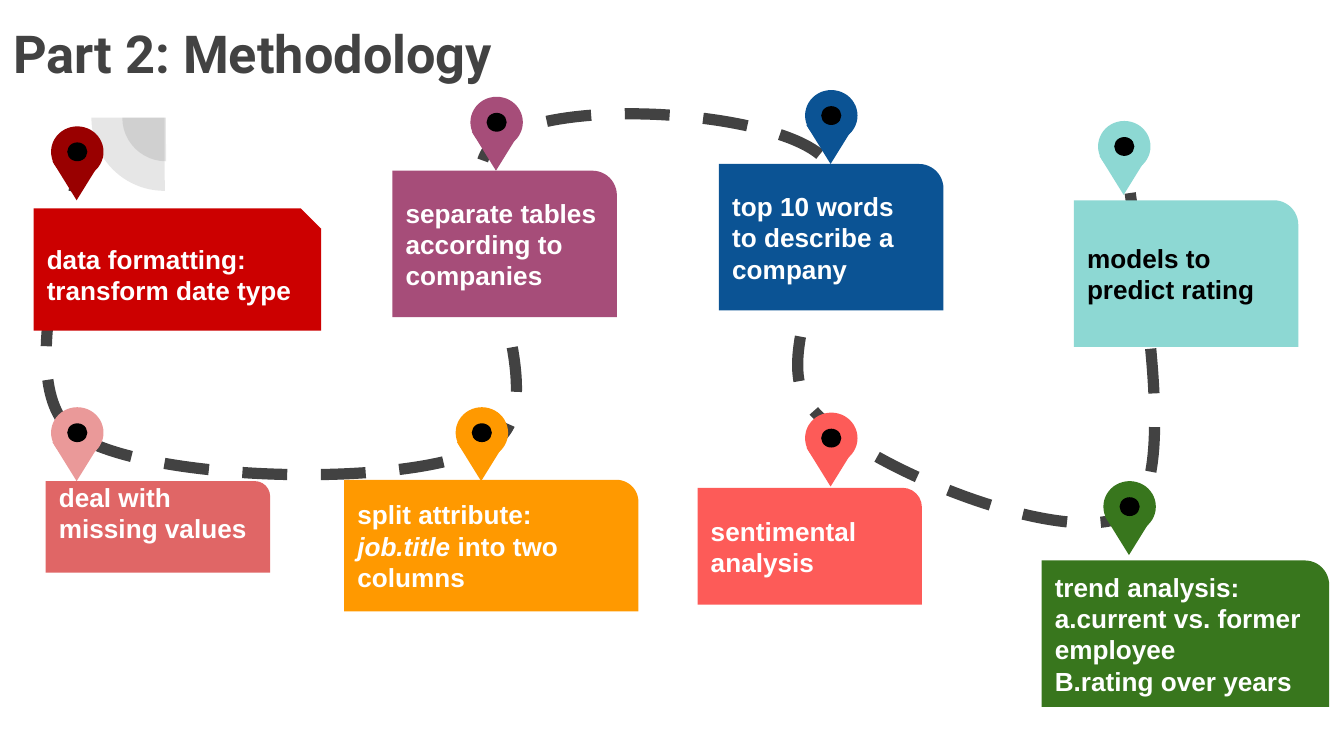
from dataclasses import dataclass

import pptx
import pptx.dml.color
import pptx.enum.dml
import pptx.enum.shapes
import pptx.enum.text
import pptx.oxml
import pptx.oxml.ns
import pptx.util

PX = 9144  # EMU per px, at 100 px to the inch
SHAPE = pptx.enum.shapes.MSO_SHAPE
ANCHOR = pptx.enum.text.MSO_ANCHOR


@dataclass(frozen=True)
class Theme:
    ink: str = "424242"
    white: str = "FFFFFF"
    black: str = "000000"
    heading_font: str = "Roboto"
    body_font: str = "Arial"
    heading_size: int = 28
    body_size: int = 14
    road_width: int = 6
    inset: int = 10


@dataclass(frozen=True)
class Step:
    """One stop on the road; text between bars is italic."""
    lines: tuple
    card: tuple
    pin: tuple
    color: str
    pin_color: str = ""
    text_color: str = "FFFFFF"
    outline: int = SHAPE.ROUND_1_RECTANGLE
    at_top: bool = False


THEME = Theme()

STEPS = (
    Step(("data formatting: transform date type",), (25, 155, 214, 91), (38, 94),
         "CC0000", pin_color="990000", outline=SHAPE.SNIP_1_RECTANGLE),
    Step(("deal with missing values",), (34, 358, 167, 68), (38, 303),
         "E06666", pin_color="EA9999", at_top=True),
    Step(("split attribute: |job.title| into two columns",), (256, 357, 219, 98),
         (339, 303), "FF9900"),
    Step(("separate tables according to companies",), (292, 127, 167, 109),
         (350, 72), "A64D79"),
    Step(("top 10 words to describe a company",), (535, 122, 167, 109),
         (599, 67), "0B5394"),
    Step(("sentimental analysis",), (519, 363, 167, 87), (599, 307), "FD5B58"),
    Step(("trend analysis: a.current vs. former employee", "B.rating over years"),
         (775, 417, 214, 109), (821, 358), "38761D"),
    Step(("models to predict rating",), (799, 149, 167, 109), (817, 90),
         "8DD8D3", text_color=THEME.black),
)

ROAD_BOX = (34, 84, 825, 305)
ROAD_START = (61, 110)
ROAD_CURVES = (
    ((60, 145), (5, 286), (56, 323)),
    ((107, 359), (316, 365), (368, 329)),
    ((420, 293), (327, 142), (367, 107)),
    ((408, 71), (571, 82), (610, 115)),
    ((650, 148), (565, 260), (604, 304)),
    ((642, 349), (804, 413), (843, 380)),
    ((882, 347), (838, 152), (837, 107)),
)


def emu(*lengths):
    return [pptx.util.Emu(length * PX) for length in lengths]


def rgb(value):
    return pptx.dml.color.RGBColor.from_string(value)


def add_filled(shapes, outline, box, color):
    shape = shapes.add_shape(outline, *emu(*box))
    shape.shadow.inherit = False
    shape.fill.solid()
    shape.fill.fore_color.rgb = rgb(color)
    shape.line.fill.background()
    return shape


def style_font(font, name, size, color):
    font.name = name
    font.size = pptx.util.Pt(size)
    font.bold = True
    font.color.rgb = rgb(color)


def set_frame(frame, anchor, top_inset=THEME.inset):
    frame.word_wrap = True
    frame.vertical_anchor = anchor
    side, top = emu(THEME.inset, top_inset)
    frame.margin_left = frame.margin_right = frame.margin_bottom = side
    frame.margin_top = top


def add_corner_arc(slide, box):
    arc = add_filled(slide.shapes, SHAPE.PIE, box, THEME.ink)
    arc.adjustments[0] = 107.928
    arc.adjustments[1] = 162
    arc.rotation = 270
    color = arc.fill._xPr.find(".//" + pptx.oxml.ns.qn("a:srgbClr"))
    color.append(pptx.oxml.parse_xml(
        f'<a:alpha {pptx.oxml.ns.nsdecls("a")} val="13000"/>'))


def add_road(slide):
    """Draw the dashed road as one path of cubic curves inside ROAD_BOX."""
    left, top, width, height = ROAD_BOX
    builder = slide.shapes.build_freeform(left, top, scale=PX)
    builder.add_line_segments([(left + width, top + height)], close=False)
    road = builder.convert_to_shape()
    path = road._element.find(".//" + pptx.oxml.ns.qn("a:path"))
    for command in list(path):
        path.remove(command)
    for tag, points in [("moveTo", (ROAD_START,))] + [
            ("cubicBezTo", curve) for curve in ROAD_CURVES]:
        dots = "".join(f'<a:pt x="{x - left}" y="{y - top}"/>' for x, y in points)
        path.append(pptx.oxml.parse_xml(
            f'<a:{tag} {pptx.oxml.ns.nsdecls("a")}>{dots}</a:{tag}>'))
    road.shadow.inherit = False
    road.fill.background()
    road.line.color.rgb = rgb(THEME.ink)
    road.line.width = pptx.util.Pt(THEME.road_width)
    road.line.dash_style = pptx.enum.dml.MSO_LINE.DASH


def add_title(slide, text):
    title = slide.shapes.add_textbox(*emu(0, 6, 769, 109))
    set_frame(title.text_frame, ANCHOR.TOP)
    title.text_frame.text = text
    style_font(title.text_frame.paragraphs[0].runs[0].font,
               THEME.heading_font, THEME.heading_size, THEME.ink)


def add_card(slide, step):
    card = add_filled(slide.shapes, step.outline, step.card, step.color)
    frame = card.text_frame
    if step.at_top:
        set_frame(frame, ANCHOR.TOP, top_inset=0)
    else:
        set_frame(frame, ANCHOR.MIDDLE)
    for index, line in enumerate(step.lines):
        paragraph = frame.add_paragraph() if index else frame.paragraphs[0]
        paragraph.alignment = pptx.enum.text.PP_ALIGN.LEFT
        for position, part in enumerate(line.split("|")):
            run = paragraph.add_run()
            run.text = part
            style_font(run.font, THEME.body_font, THEME.body_size, step.text_color)
            run.font.italic = position % 2 == 1


def add_pin(slide, step):
    x, y = step.pin
    color = step.pin_color or step.color
    pin = slide.shapes.add_group_shape().shapes
    add_filled(pin, SHAPE.OVAL, (x, y, 39, 38), color)
    tip = add_filled(pin, SHAPE.ISOSCELES_TRIANGLE, (x + 1, y + 26, 36, 29), color)
    tip.rotation = 180
    add_filled(pin, SHAPE.OVAL, (x + 12, y + 12, 15, 14), THEME.black)


def main():
    deck = pptx.Presentation()
    deck.slide_width, = emu(1000)
    deck.slide_height = deck.slide_width * 9 // 16
    slide = deck.slides.add_slide(deck.slide_layouts[6])
    slide.background.fill.solid()
    slide.background.fill.fore_color.rgb = rgb(THEME.white)
    for arc_box in ((91, 55, 65, 65), (68, 33, 109, 109)):
        add_corner_arc(slide, arc_box)
    add_road(slide)
    add_title(slide, "Part 2: Methodology")
    for step in STEPS:
        add_card(slide, step)
        add_pin(slide, step)
    deck.save("out.pptx")


if __name__ == "__main__":
    main()
